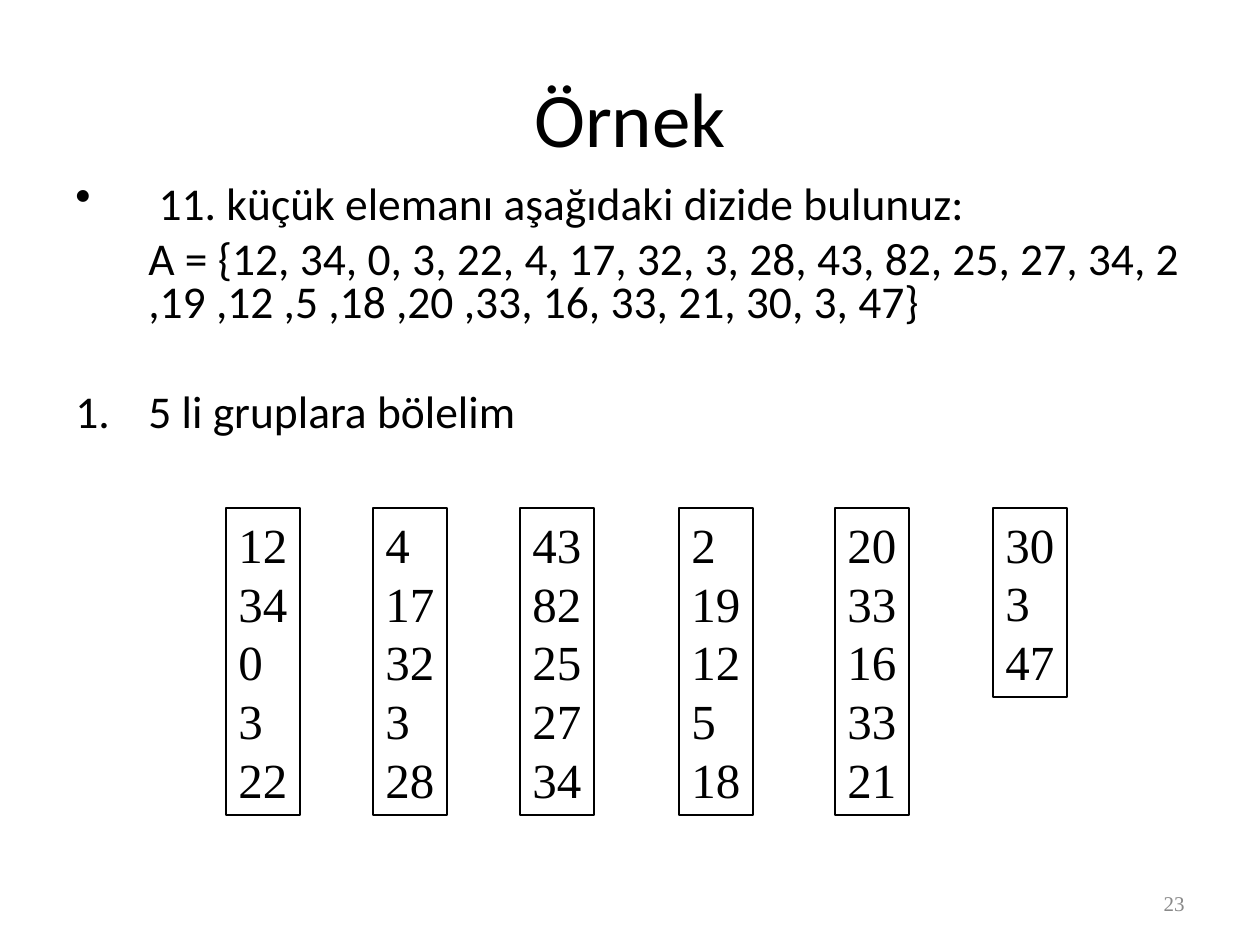
from lxml.etree import SubElement
from pptx import Presentation
from pptx.dml.color import RGBColor
from pptx.enum.shapes import MSO_SHAPE
from pptx.enum.text import MSO_ANCHOR, MSO_AUTO_SIZE, PP_ALIGN
from pptx.oxml.ns import qn
from pptx.util import Emu, Pt

PX = 914400 // 126
BLACK = RGBColor(0x00, 0x00, 0x00)
GRAY = RGBColor(0x89, 0x89, 0x89)


def px(*values):
    return [Emu(v * PX) for v in values]


def add_text(p, text, **font):
    r = p.add_run()
    r.text = text
    r.font.color.rgb = font.pop("color", BLACK)
    for name, value in font.items():
        setattr(r.font, name, value)


prs = Presentation()
prs.slide_width, prs.slide_height = px(1260, 945)
s = prs.slides.add_slide(prs.slide_layouts[6])

# Title and slide number
LABELS = [
    ((63, 38, 1134, 157), "Örnek", PP_ALIGN.CENTER,
     {"name": "Calibri", "size": Pt(44)}),
    ((903, 872, 294, 63), "23", PP_ALIGN.RIGHT,
     {"name": "Times New Roman", "size": Pt(12), "color": GRAY}),
]
for box, text, align, font in LABELS:
    tf = s.shapes.add_textbox(*px(*box)).text_frame
    tf.word_wrap = True
    tf.vertical_anchor = MSO_ANCHOR.MIDDLE
    p = tf.paragraphs[0]
    p.alignment = align
    add_text(p, text, **font)

# Problem statement and first step: text, space before, bullet
BODY = [
    (" 11. küçük elemanı aşağıdaki dizide bulunuz:", 0,
     ("a:buChar", {"char": "•"})),
    ("A = {12, 34, 0, 3, 22, 4, 17, 32, 3, 28, 43, 82, 25, 27, 34, 2 "
     ",19 ,12 ,5 ,18 ,20 ,33, 16, 33, 21, 30, 3, 47}", 6.5, None),
    ("5 li gruplara bölelim", 38, ("a:buAutoNum", {"type": "arabicPeriod"})),
]
INDENT = 73 * PX
tf = s.shapes.add_textbox(*px(63, 179, 1134, 315)).text_frame
tf.word_wrap = True
for i, (text, before, bullet) in enumerate(BODY):
    p = tf.add_paragraph() if i else tf.paragraphs[0]
    p.line_spacing = 0.8
    p.space_before = Pt(before)
    pPr = p._p.get_or_add_pPr()
    pPr.set("marL", str(INDENT))
    pPr.set("indent", str(-INDENT if bullet else 0))
    if bullet:
        tag, attrs = bullet
        SubElement(pPr, qn(tag), attrs)
    add_text(p, text, name="Calibri", size=Pt(26))

# Groups of five, one box each
GROUPS = [
    (226, [12, 34, 0, 3, 22]),
    (373, [4, 17, 32, 3, 28]),
    (520, [43, 82, 25, 27, 34]),
    (679, [2, 19, 12, 5, 18]),
    (835, [20, 33, 16, 33, 21]),
    (993, [30, 3, 47]),
]
TOP, WIDTH, ROW, PAD = 508, 74, 59, 12
for left, numbers in GROUPS:
    sp = s.shapes.add_shape(MSO_SHAPE.RECTANGLE,
                            *px(left, TOP, WIDTH, len(numbers) * ROW + PAD))
    sp.shadow.inherit = False
    sp.fill.background()
    sp.line.color.rgb = BLACK
    sp.line.width = Pt(1)
    tf = sp.text_frame
    tf.word_wrap = False
    tf.auto_size = MSO_AUTO_SIZE.SHAPE_TO_FIT_TEXT
    tf.vertical_anchor = MSO_ANCHOR.TOP
    for i, number in enumerate(numbers):
        p = tf.add_paragraph() if i else tf.paragraphs[0]
        p.alignment = PP_ALIGN.LEFT
        add_text(p, str(number), name="Times New Roman", size=Pt(28))

prs.save("out.pptx")
